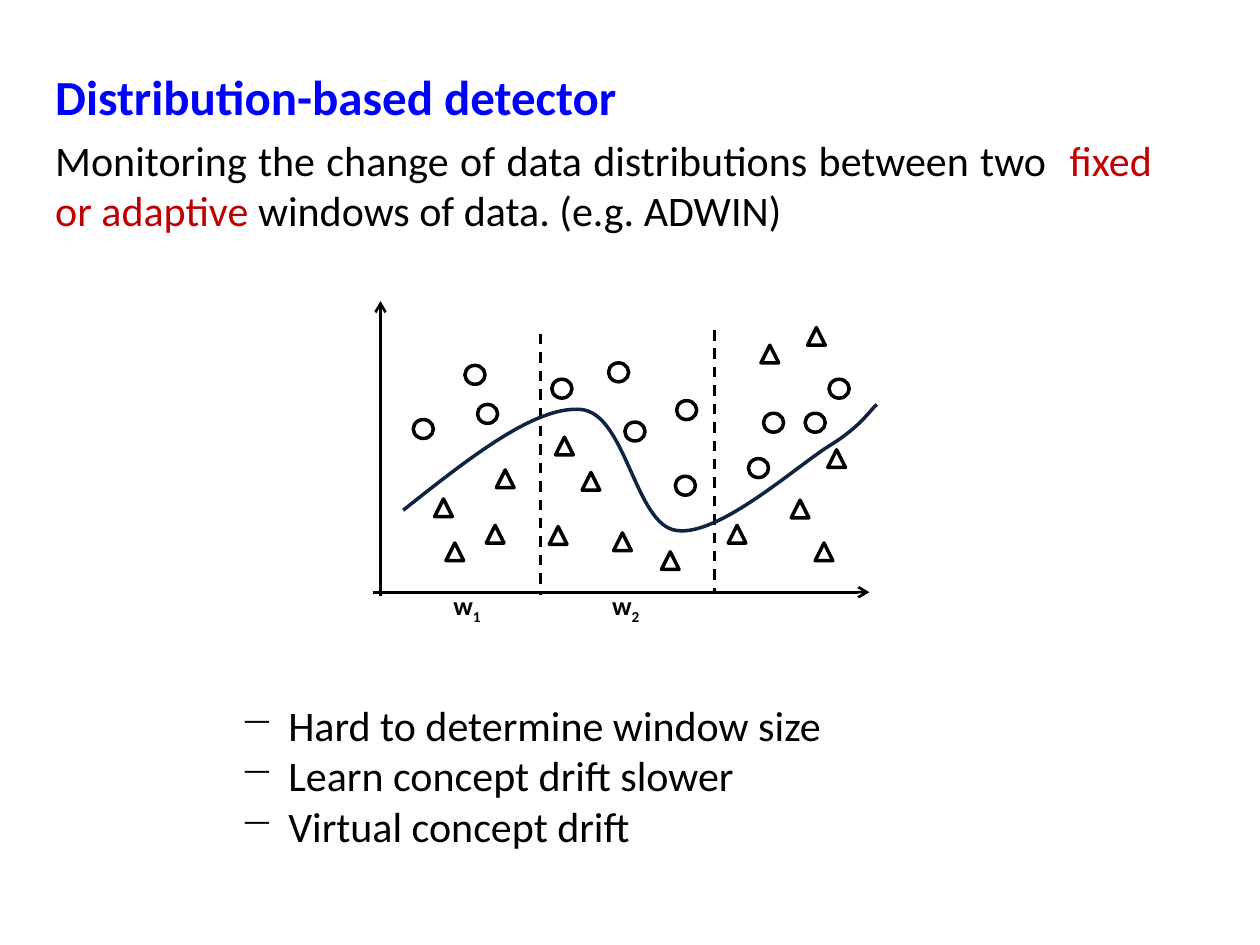
from lxml.etree import SubElement
from pptx import Presentation
from pptx.dml.color import RGBColor
from pptx.enum.dml import MSO_LINE_DASH_STYLE as Dash
from pptx.enum.shapes import MSO_CONNECTOR as Connector, MSO_SHAPE as Shape
from pptx.enum.text import MSO_AUTO_SIZE as AutoSize, PP_ALIGN as Align
from pptx.oxml.ns import qn
from pptx.util import Inches, Pt

BLACK = RGBColor(0x00, 0x00, 0x00)
BLUE = RGBColor(0x00, 0x00, 0xFF)
RED = RGBColor(0xC0, 0x00, 0x00)
NAVY = RGBColor(0x0F, 0x24, 0x3E)

HEADING = {"size": Pt(28), "bold": True}
BODY = {"size": Pt(24), "bold": False}
LABEL = {"size": Pt(15), "bold": True}

CIRCLE_SIZE = (1.6, 1.5)
TRIANGLE_SIZE = (1.4, 1.4)
CIRCLES = [
    (32.8, 33.3), (43.8, 30.1), (36.9, 29), (37.9, 32.1), (48.3, 28.8), (53.6, 37.8),
    (49.6, 33.5), (60.6, 32.8), (59.4, 36.4), (53.7, 31.8), (63.9, 32.8), (65.8, 30.1),
]
TRIANGLES = [
    (34.5, 39.6), (35.4, 43.1), (39.4, 37.3), (44.1, 34.7), (43.6, 41.8),
    (38.6, 41.7), (46.2, 37.5), (48.7, 42.3), (52.5, 43.8), (57.8, 41.7),
    (62.8, 39.7), (65.7, 35.7), (64.7, 43.1), (60.4, 27.4), (64.1, 26),
]
BOUNDARY = [
    (32, 40.5), (37.3, 36.3), (42.5, 32.2), (46.1, 32.5), (49.7, 32.8), (50.4, 41.7),
    (53.7, 42.1), (57, 42.6), (63.1, 37.1), (65.8, 35.4), (68.4, 33.8), (69, 32.6), (69.6, 32.1),
]


class SlideBuilder:
    """Draws styled elements on one slide, placed on a grid of 100 columns by 75 rows."""

    font_name = "Calibri"
    columns, rows = 100, 75

    def __init__(self, presentation):
        self.width, self.height = presentation.slide_width, presentation.slide_height
        self.slide = presentation.slides.add_slide(presentation.slide_layouts[6])

    def place(self, column, row):
        return round(self.width * column / self.columns), round(self.height * row / self.rows)

    def outline(self, shape, color, width):
        shape.line.color.rgb = color
        shape.line.width = Pt(width)

    def text(self, position, size, paragraphs, **paragraph_format):
        box = self.slide.shapes.add_textbox(*self.place(*position), *self.place(*size))
        frame = box.text_frame
        frame.word_wrap = True
        frame.auto_size = AutoSize.SHAPE_TO_FIT_TEXT
        for index, (style, runs) in enumerate(paragraphs):
            paragraph = frame.paragraphs[0] if index == 0 else frame.add_paragraph()
            for name, value in paragraph_format.items():
                if index or name != "space_before":
                    setattr(paragraph, name, value)
            for content, color in runs:
                run = paragraph.add_run()
                run.text = content
                run.font.color.rgb = color
                for name, value in {"name": self.font_name, **style}.items():
                    setattr(run.font, name, value)
        return frame

    def bullets(self, position, size, items, mark):
        paragraphs = [(BODY, [(item, BLACK)]) for item in items]
        frame = self.text(position, size, paragraphs, alignment=Align.JUSTIFY)
        indent = Inches(0.38)
        for paragraph in frame.paragraphs:
            properties = paragraph._p.get_or_add_pPr()
            properties.set("marL", str(indent))
            properties.set("indent", str(-indent))
            SubElement(properties, qn("a:buChar"), char=mark)

    def window_label(self, position, number):
        runs = [("w", BLACK), (number, BLACK)]
        frame = self.text(position, (7.9, 4.4), [(LABEL, runs)])
        frame.paragraphs[0].runs[1].font._element.set("baseline", "-25000")

    def markers(self, kind, size, positions):
        for position in positions:
            shape = self.slide.shapes.add_shape(kind, *self.place(*position), *self.place(*size))
            shape.shadow.inherit = False
            shape.fill.background()
            self.outline(shape, BLACK, 2)

    def line(self, start, end, dashed=False, arrow=False):
        connector = self.slide.shapes.add_connector(
            Connector.STRAIGHT, *self.place(*start), *self.place(*end))
        self.outline(connector, BLACK, 1.5)
        if dashed:
            connector.line.dash_style = Dash.DASH
        if arrow:
            SubElement(connector.line._get_or_add_ln(), qn("a:tailEnd"), type="arrow")
        SubElement(connector._element.spPr, qn("a:effectLst"))

    def curve(self, points, color):
        start, *controls = [self.place(*point) for point in points]
        builder = self.slide.shapes.build_freeform(*start)
        builder.add_line_segments(controls, close=False)
        shape = builder.convert_to_shape()
        shape.shadow.inherit = False
        shape.fill.background()
        self.outline(shape, color, 2)
        outline = next(shape._element.iter(qn("a:path")))
        segments = outline.findall(qn("a:lnTo"))
        for first in range(0, len(segments), 3):
            bezier = SubElement(outline, qn("a:cubicBezTo"))
            for segment in segments[first:first + 3]:
                bezier.append(segment[0])
                outline.remove(segment)


def main():
    presentation = Presentation()
    presentation.slide_width, presentation.slide_height = Inches(10), Inches(7.5)
    builder = SlideBuilder(presentation)

    builder.text((3.4, 4.8), (89, 17.3), [
        (HEADING, [("Distribution-based detector", BLUE)]),
        (BODY, [
            ("Monitoring the change of data distributions between two  ", BLACK),
            ("fixed or adaptive ", RED),
            ("windows of data. (e.g. ADWIN)", BLACK),
        ]),
    ], alignment=Align.JUSTIFY, space_before=Pt(5))
    builder.bullets((18.1, 55), (63.5, 13.1), [
        "Hard to determine window size",
        "Learn concept drift slower",
        "Virtual concept drift",
    ], mark="−")

    builder.markers(Shape.OVAL, CIRCLE_SIZE, CIRCLES)
    builder.line((42.9, 26.5), (42.9, 47.2), dashed=True)
    builder.line((56.7, 26.2), (56.7, 47), dashed=True)
    builder.line((29.6, 47), (69, 47), arrow=True)
    builder.line((30.2, 47.3), (30.2, 23.9), arrow=True)
    builder.markers(Shape.ISOSCELES_TRIANGLE, TRIANGLE_SIZE, TRIANGLES)
    for column, number in ((35, "1"), (47.6, "2")):
        builder.window_label((column, 46.3), number)
    builder.curve(BOUNDARY, NAVY)

    presentation.save("out.pptx")


if __name__ == "__main__":
    main()
